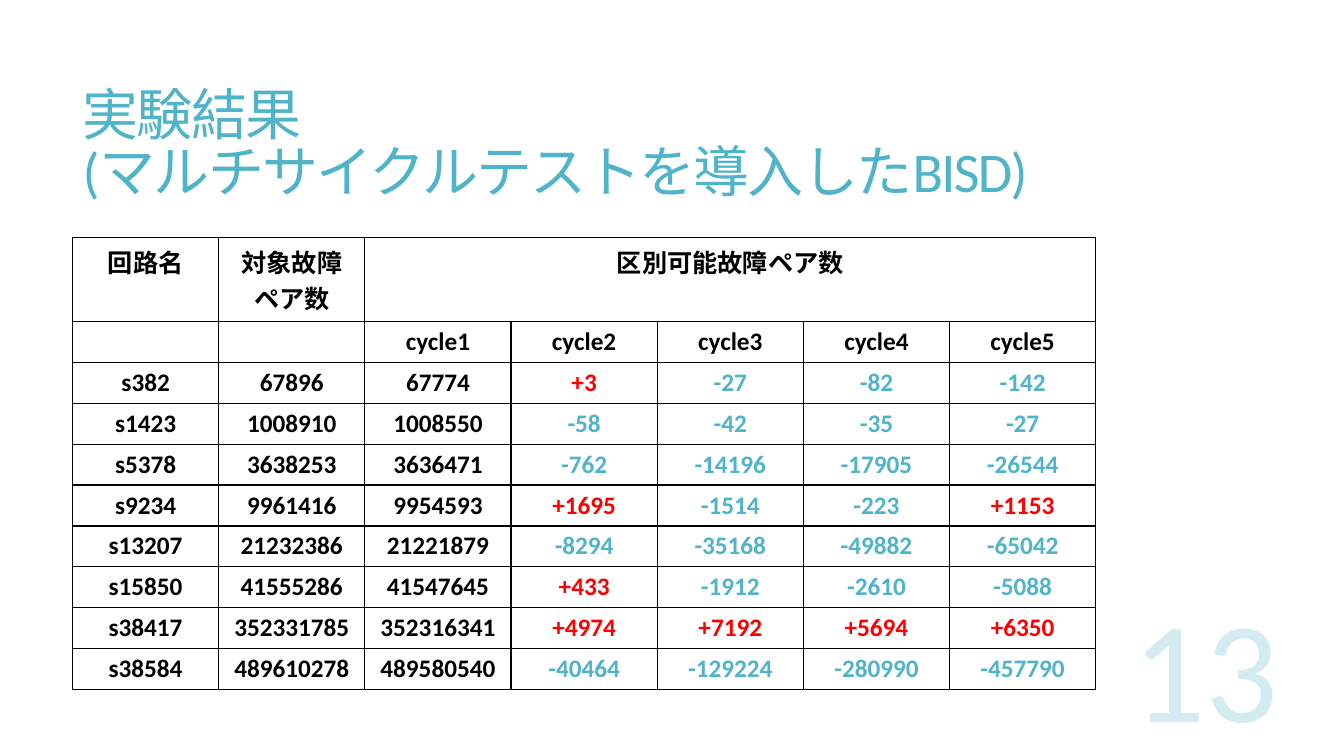
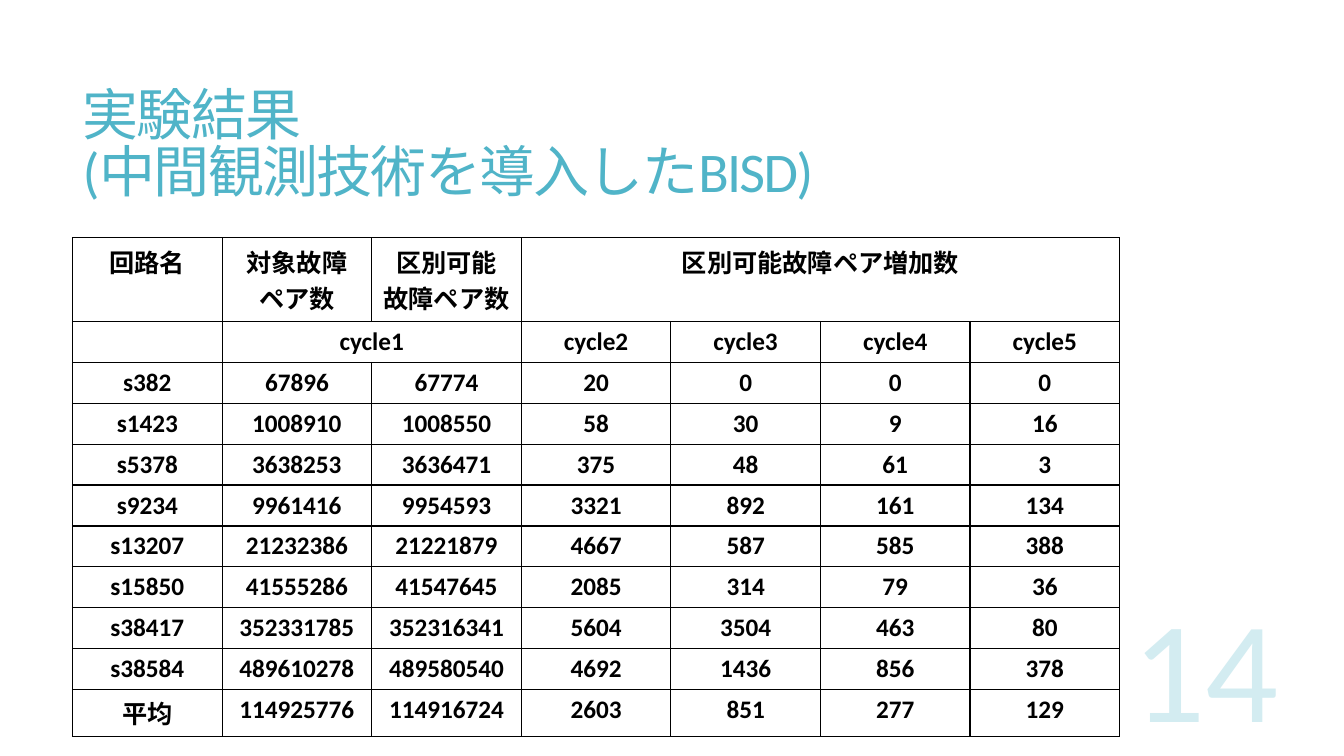
from lxml.etree import SubElement
from pptx import Presentation
from pptx.dml.color import RGBColor
from pptx.enum.text import MSO_ANCHOR, MSO_AUTO_SIZE, PP_ALIGN
from pptx.oxml.ns import qn
from pptx.util import Pt

FONT = "Calibri"
BLACK, TEAL, PALE_TEAL, RED = "000000", "50B4C8", "D3ECF1", "FF0000"
LEFT, TABLE_TOP = 51.84, 169.92
HEADER_HEIGHT, ROW_HEIGHT, AVERAGE_HEIGHT = 59.8, 29.2, 33.6
AVERAGE = "平均"

# Content: None continues the merged cell on its left
CIRCUITS = [
    ("s382", "67896", "67774"),
    ("s1423", "1008910", "1008550"),
    ("s5378", "3638253", "3636471"),
    ("s9234", "9961416", "9954593"),
    ("s13207", "21232386", "21221879"),
    ("s15850", "41555286", "41547645"),
    ("s38417", "352331785", "352316341"),
    ("s38584", "489610278", "489580540"),
]
LATER_CYCLES = ("cycle2", "cycle3", "cycle4", "cycle5")
MULTI_CYCLE = [
    ("+3", "-27", "-82", "-142"),
    ("-58", "-42", "-35", "-27"),
    ("-762", "-14196", "-17905", "-26544"),
    ("+1695", "-1514", "-223", "+1153"),
    ("-8294", "-35168", "-49882", "-65042"),
    ("+433", "-1912", "-2610", "-5088"),
    ("+4974", "+7192", "+5694", "+6350"),
    ("-40464", "-129224", "-280990", "-457790"),
]
OBSERVATION = [
    ("20", "0", "0", "0"),
    ("58", "30", "9", "16"),
    ("375", "48", "61", "3"),
    ("3321", "892", "161", "134"),
    ("4667", "587", "585", "388"),
    ("2085", "314", "79", "36"),
    ("5604", "3504", "463", "80"),
    ("4692", "1436", "856", "378"),
]
PAGES = [
    {
        "number": "13",
        "title": ("実験結果", "(マルチサイクルテストを導入したBISD)"),
        "column": 104.4,
        "rows": [
            ("回路名", "対象故障\nペア数", "区別可能故障ペア数", None, None, None, None),
            ("", "", "cycle1", *LATER_CYCLES),
            *(a + b for a, b in zip(CIRCUITS, MULTI_CYCLE)),
        ],
    },
    {
        "number": "14",
        "title": ("実験結果", "(中間観測技術を導入したBISD)"),
        "column": 106.85,
        "rows": [
            ("回路名", "対象故障\nペア数", "区別可能\n故障ペア数",
             "区別可能故障ペア増加数", None, None, None),
            ("", "cycle1", None, *LATER_CYCLES),
            *(a + b for a, b in zip(CIRCUITS, OBSERVATION)),
            (AVERAGE, "114925776", "114916724", "2603", "851", "277", "129"),
        ],
    },
]


def color(value):
    return RGBColor.from_string(value)


def add_span(para, text, size, fill, bold=False):
    span = para.add_run()
    span.text = text
    span.font.name, span.font.size, span.font.bold = FONT, Pt(size), bold
    span.font.color.rgb = color(fill)


def add_title(page, lines):
    box = page.shapes.title
    box.left, box.top, box.width, box.height = Pt(LEFT), Pt(39.6), Pt(848.16), Pt(130.32)
    frame = box.text_frame
    frame.word_wrap, frame.auto_size = True, MSO_AUTO_SIZE.NONE
    frame.vertical_anchor = MSO_ANCHOR.MIDDLE
    para = frame.paragraphs[0]
    para.alignment, para.line_spacing = PP_ALIGN.LEFT, 0.85
    for index, line in enumerate(lines):
        if index:
            para.add_line_break()
        add_span(para, line, 40, TEAL)
    # Tighter letter spacing
    for properties in box.element.iter(qn("a:rPr")):
        properties.set("spc", "-120")


def add_number(page, number):
    box = page.shapes.add_textbox(Pt(773.5), Pt(413.2), Pt(140), Pt(126))
    frame = box.text_frame
    frame.word_wrap = True
    frame.margin_left = frame.margin_right = frame.margin_top = frame.margin_bottom = 0
    para = frame.paragraphs[0]
    para.alignment = PP_ALIGN.RIGHT
    add_span(para, number, 103, PALE_TEAL)


def add_borders(frame):
    for properties in frame.element.iter(qn("a:tcPr")):
        for index, side in enumerate(("lnL", "lnR", "lnT", "lnB")):
            line = properties.makeelement(qn("a:" + side), {"w": str(Pt(1))})
            fill = SubElement(line, qn("a:solidFill"))
            SubElement(fill, qn("a:srgbClr"), val=BLACK)
            properties.insert(index, line)


def row_height(row):
    if any("\n" in text for text in row if text):
        return HEADER_HEIGHT
    return AVERAGE_HEIGHT if row[0] == AVERAGE else ROW_HEIGHT


def add_results(page, rows, column_width):
    count = len(rows[0])
    heights = [row_height(row) for row in rows]
    frame = page.shapes.add_table(len(rows), count, Pt(LEFT), Pt(TABLE_TOP),
                                  Pt(column_width * count), Pt(sum(heights)))
    table = frame.table
    table.first_row = table.horz_banding = False
    for column in table.columns:
        column.width = Pt(column_width)
    for row_index, row in enumerate(rows):
        table.rows[row_index].height = Pt(heights[row_index])
        for column_index, text in enumerate(row):
            cell = table.cell(row_index, column_index)
            cell.fill.background()
            if text is None:
                continue
            # Merge across the empty places that follow
            end = column_index
            while end + 1 < count and row[end + 1] is None:
                end += 1
            if end > column_index:
                cell.merge(table.cell(row_index, end))
            # Gains are red, losses teal
            fill = {"+": RED, "-": TEAL}.get(text[:1], BLACK)
            for index, line in enumerate(text.split("\n") if text else ()):
                para = cell.text_frame.add_paragraph() if index else cell.text_frame.paragraphs[0]
                para.alignment = PP_ALIGN.CENTER
                add_span(para, line, 18, fill, bold=True)
    add_borders(frame)


def main():
    deck = Presentation()
    deck.slide_width, deck.slide_height = Pt(960), Pt(540)
    for content in PAGES:
        page = deck.slides.add_slide(deck.slide_layouts[5])
        add_title(page, content["title"])
        add_number(page, content["number"])
        add_results(page, content["rows"], content["column"])
    deck.save("out.pptx")


if __name__ == "__main__":
    main()
